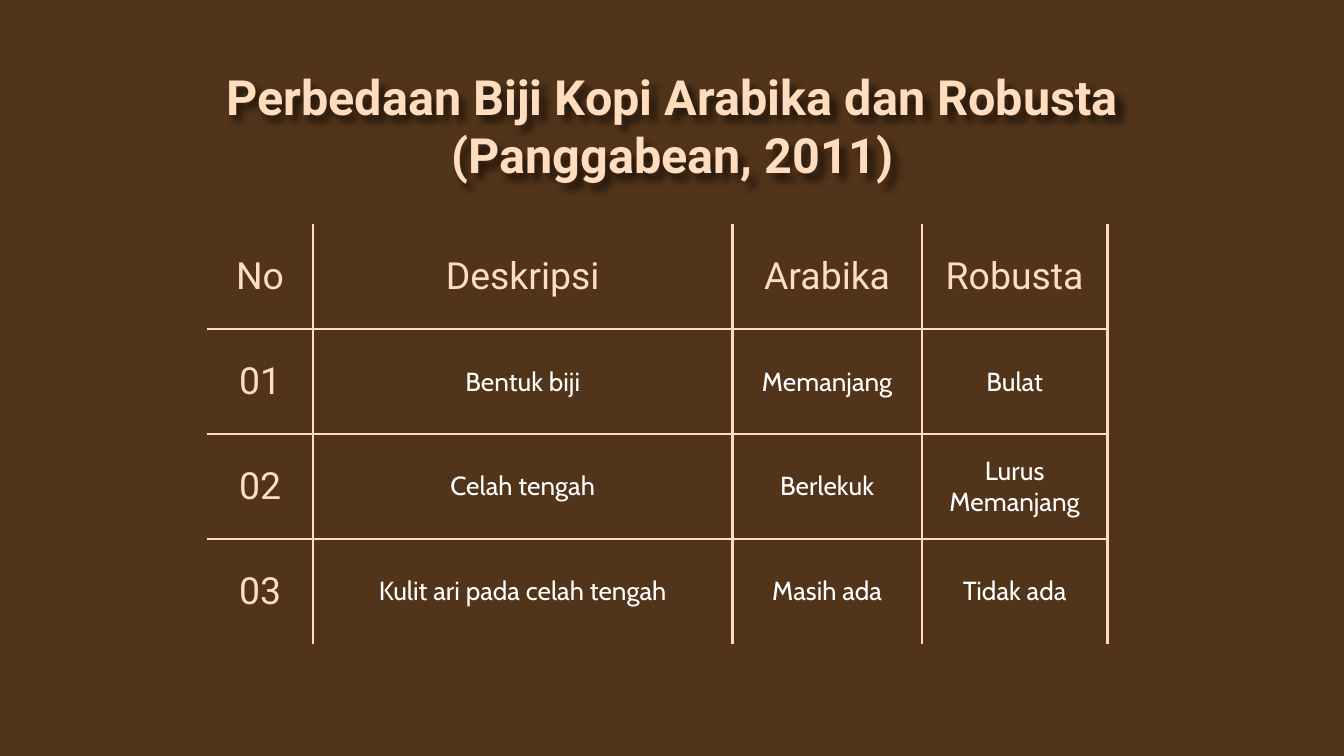
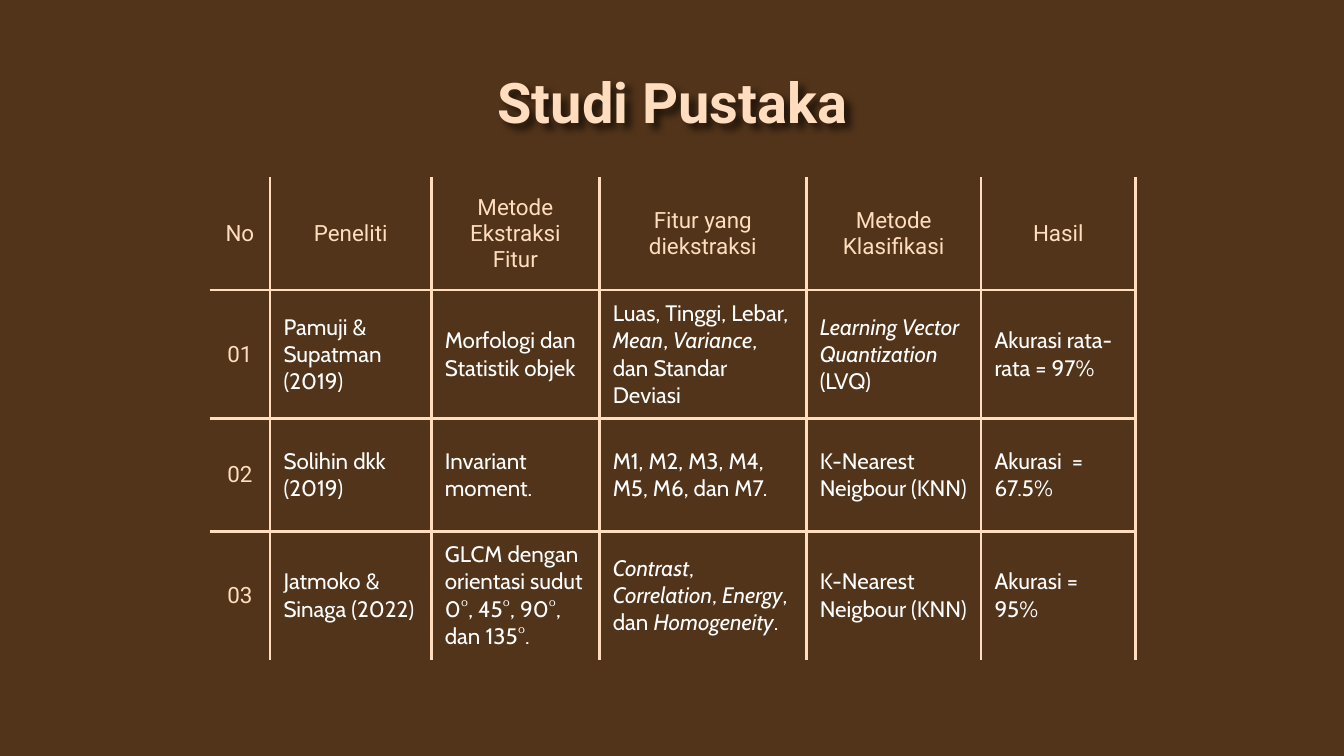
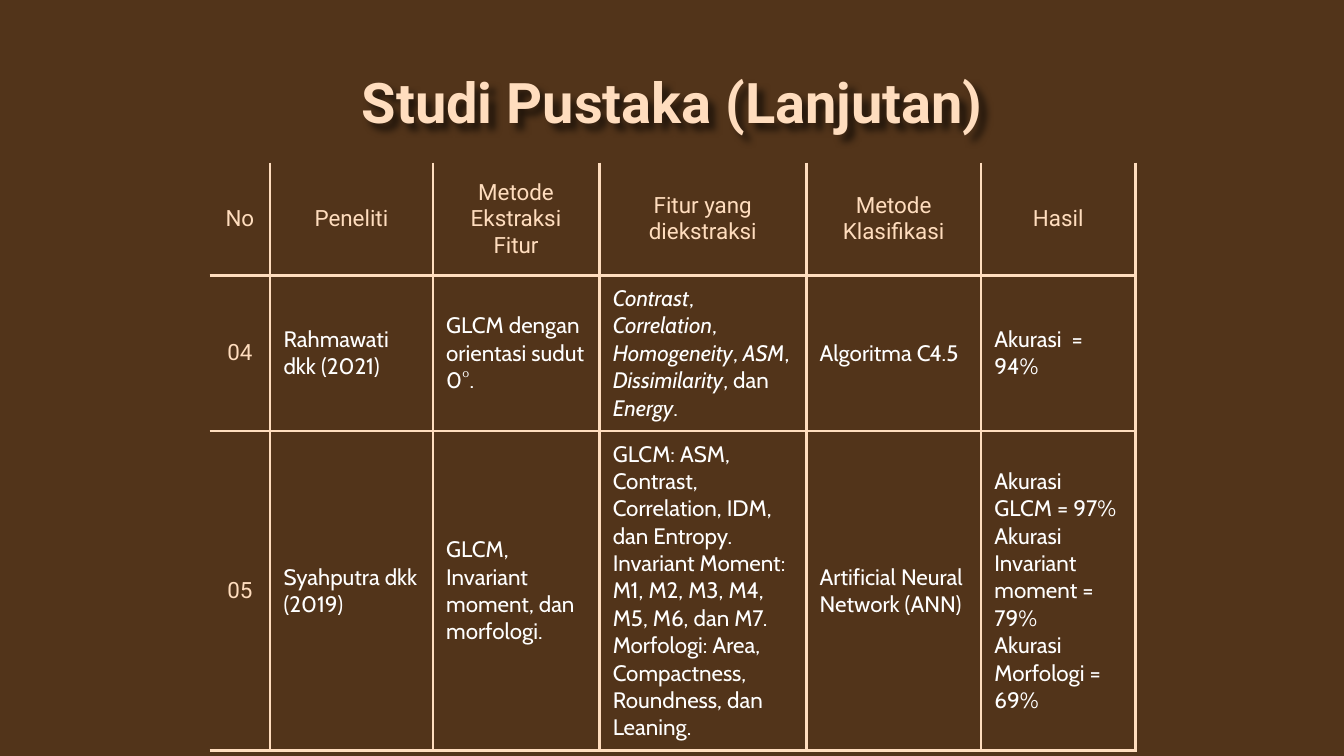
"""Build three slides of tables on coffee beans and earlier studies."""
import lxml.etree
import pptx
import pptx.dml.color
import pptx.enum.text
import pptx.oxml
import pptx.oxml.ns
import pptx.util

Inches = pptx.util.Inches
Pt = pptx.util.Pt
ALIGN = pptx.enum.text.PP_ALIGN
ANCHOR = pptx.enum.text.MSO_ANCHOR

BROWN, CREAM, WHITE, BLACK = "52341A", "FFDDBE", "FFFFFF", "000000"
HEADING_FONT, BODY_FONT = "Roboto", "Cabin"
BORDER_WIDTH = Pt(1.5)

STUDY_HEADER = ["No", "Peneliti", "Metode Ekstraksi Fitur", "Fitur yang diekstraksi",
                "Metode Klasifikasi", "Hasil"]

SLIDES = [
    {
        "title": "Perbedaan Biji Kopi Arabika dan Robusta (Panggabean, 2011)",
        "title_size": 26,
        "position": (1.54, 1.67),
        "columns": [0.79, 3.12, 1.41, 1.38],
        "row_height": 0.78,
        "label_size": 20,
        "body_size": 14,
        "body_align": ALIGN.CENTER,
        "closed": False,
        "rows": [
            ["No", "Deskripsi", "Arabika", "Robusta"],
            ["01", "Bentuk biji", "Memanjang", "Bulat"],
            ["02", "Celah tengah", "Berlekuk", "Lurus Memanjang"],
            ["03", "Kulit ari pada celah tengah", "Masih ada", "Tidak ada"],
        ],
    },
    {
        "title": "Studi Pustaka",
        "title_size": 30,
        "position": (1.56, 1.32),
        "columns": [0.45, 1.2, 1.25, 1.54, 1.3, 1.15],
        "row_height": 0.84,
        "label_size": 12,
        "body_size": 12,
        "body_align": ALIGN.LEFT,
        "closed": False,
        "rows": [
            STUDY_HEADER,
            ["01", "Pamuji & Supatman (2019)", "Morfologi dan Statistik objek",
             "Luas, Tinggi, Lebar, _Mean_, _Variance_, dan Standar Deviasi",
             "_Learning Vector Quantization_ (LVQ)", "Akurasi rata-rata = 97%"],
            ["02", "Solihin dkk (2019)", "Invariant moment.",
             "M1, M2, M3, M4, M5, M6, dan M7.", "K-Nearest Neigbour (KNN)",
             "Akurasi  = 67.5%"],
            ["03", "Jatmoko & Sinaga (2022)",
             "GLCM dengan orientasi sudut 0°, 45°, 90°, dan 135°.",
             "_Contrast_, _Correlation_, _Energy_, dan _Homogeneity_.",
             "K-Nearest Neigbour (KNN)", "Akurasi = 95%"],
        ],
    },
    {
        "title": "Studi Pustaka (Lanjutan)",
        "title_size": 30,
        "position": (1.56, 1.21),
        "columns": [0.45, 1.21, 1.24, 1.54, 1.3, 1.15],
        "row_height": 0.84,
        "label_size": 12,
        "body_size": 12,
        "body_align": ALIGN.LEFT,
        "closed": True,
        "rows": [
            STUDY_HEADER,
            ["04", "Rahmawati dkk (2021)", "GLCM dengan orientasi sudut 0°.",
             "_Contrast_, _Correlation_, _Homogeneity_,_ ASM_, _Dissimilarity_, dan _Energy_.",
             "Algoritma C4.5", "Akurasi  = 94%"],
            ["05", "Syahputra dkk (2019)", "GLCM, Invariant moment, dan morfologi.",
             "GLCM: ASM, Contrast, Correlation, IDM, dan Entropy.\n"
             "Invariant Moment: M1, M2, M3, M4, M5, M6, dan M7.\n"
             "Morfologi: Area, Compactness, Roundness, dan Leaning.",
             "Artificial Neural Network (ANN)",
             "Akurasi  GLCM = 97%\nAkurasi Invariant moment = 79%\nAkurasi Morfologi = 69%"],
        ],
    },
]


def color(value):
    return pptx.dml.color.RGBColor.from_string(value)


def style_font(font, name, size, value):
    font.name = name
    font.size = Pt(size)
    font.color.rgb = color(value)


def add_element(parent, tag, **attributes):
    element = lxml.etree.SubElement(parent, pptx.oxml.ns.qn(tag))
    for name, value in attributes.items():
        element.set(name, str(value))
    return element


def add_title(slide, content):
    title = slide.shapes.title
    title.left, title.top, title.width, title.height = map(Inches, (0.79, 0.4, 8.43, 0.6))
    frame = title.text_frame
    frame.text = content["title"]
    frame.word_wrap = True
    frame.auto_size = pptx.enum.text.MSO_AUTO_SIZE.NONE
    frame.vertical_anchor = ANCHOR.TOP
    frame.margin_left = frame.margin_right = Inches(0.1)
    frame.margin_top = frame.margin_bottom = Inches(0.1)
    paragraph = frame.paragraphs[0]
    paragraph.alignment = ALIGN.CENTER
    paragraph.line_spacing = 1.0
    font = paragraph.runs[0].font
    style_font(font, HEADING_FONT, content["title_size"], CREAM)
    font.bold = True
    effects = add_element(title.element.spPr, "a:effectLst")
    shadow = add_element(effects, "a:outerShdw", blurRad=Pt(4), dist=Pt(4),
                         dir=45 * 60000, algn="tl", rotWithShape=0)
    shade = add_element(shadow, "a:srgbClr", val=BLACK)
    add_element(shade, "a:alpha", val=60000)


def set_borders(cell, sides):
    properties = cell._tc.get_or_add_tcPr()
    for side in "LRTB":
        line = add_element(properties, f"a:ln{side}", w=BORDER_WIDTH)
        if side in sides:
            fill = add_element(line, "a:solidFill")
            add_element(fill, "a:srgbClr", val=CREAM)
        else:
            add_element(line, "a:noFill")


def fill_cell(cell, text, font_name, size, value, align):
    cell.vertical_anchor = ANCHOR.MIDDLE
    cell.margin_left = cell.margin_right = Inches(0.1)
    cell.margin_top = cell.margin_bottom = Inches(0.07)
    frame = cell.text_frame
    frame.text = text
    for paragraph in frame.paragraphs:
        pieces = paragraph.text.split("_")
        paragraph.alignment = align
        paragraph.text = ""
        for index, piece in enumerate(pieces):
            if piece:
                run = paragraph.add_run()
                run.text = piece
                style_font(run.font, font_name, size, value)
                run.font.bold = False
                run.font.italic = index % 2 == 1


def add_grid(slide, content):
    rows, widths = content["rows"], content["columns"]
    left, top = content["position"]
    height = content["row_height"]
    table = slide.shapes.add_table(len(rows), len(widths), Inches(left), Inches(top),
                                   Inches(sum(widths)), Inches(height * len(rows))).table
    table.first_row = table.horz_banding = False
    for column, width in zip(table.columns, widths):
        column.width = Inches(width)
    for row_index, row in enumerate(rows):
        table.rows[row_index].height = Inches(height)
        for column_index, text in enumerate(row):
            cell = table.cell(row_index, column_index)
            sides = "R"
            if column_index > 0:
                sides += "L"
            if row_index > 0:
                sides += "T"
            if row_index < len(rows) - 1 or content["closed"]:
                sides += "B"
            set_borders(cell, sides)
            cell.fill.background()
            if row_index == 0 or column_index == 0:
                fill_cell(cell, text, HEADING_FONT, content["label_size"], CREAM, ALIGN.CENTER)
            else:
                fill_cell(cell, text, BODY_FONT, content["body_size"], WHITE,
                          content["body_align"])


def main():
    presentation = pptx.Presentation()
    presentation.slide_width = Inches(10)
    presentation.slide_height = Inches(10) * 9 // 16
    background = presentation.slide_master.background.fill
    background.solid()
    background.fore_color.rgb = color(BROWN)
    title_only = presentation.slide_layouts[5]
    for content in SLIDES:
        slide = presentation.slides.add_slide(title_only)
        add_title(slide, content)
        add_grid(slide, content)
    presentation.save("out.pptx")


if __name__ == "__main__":
    main()
